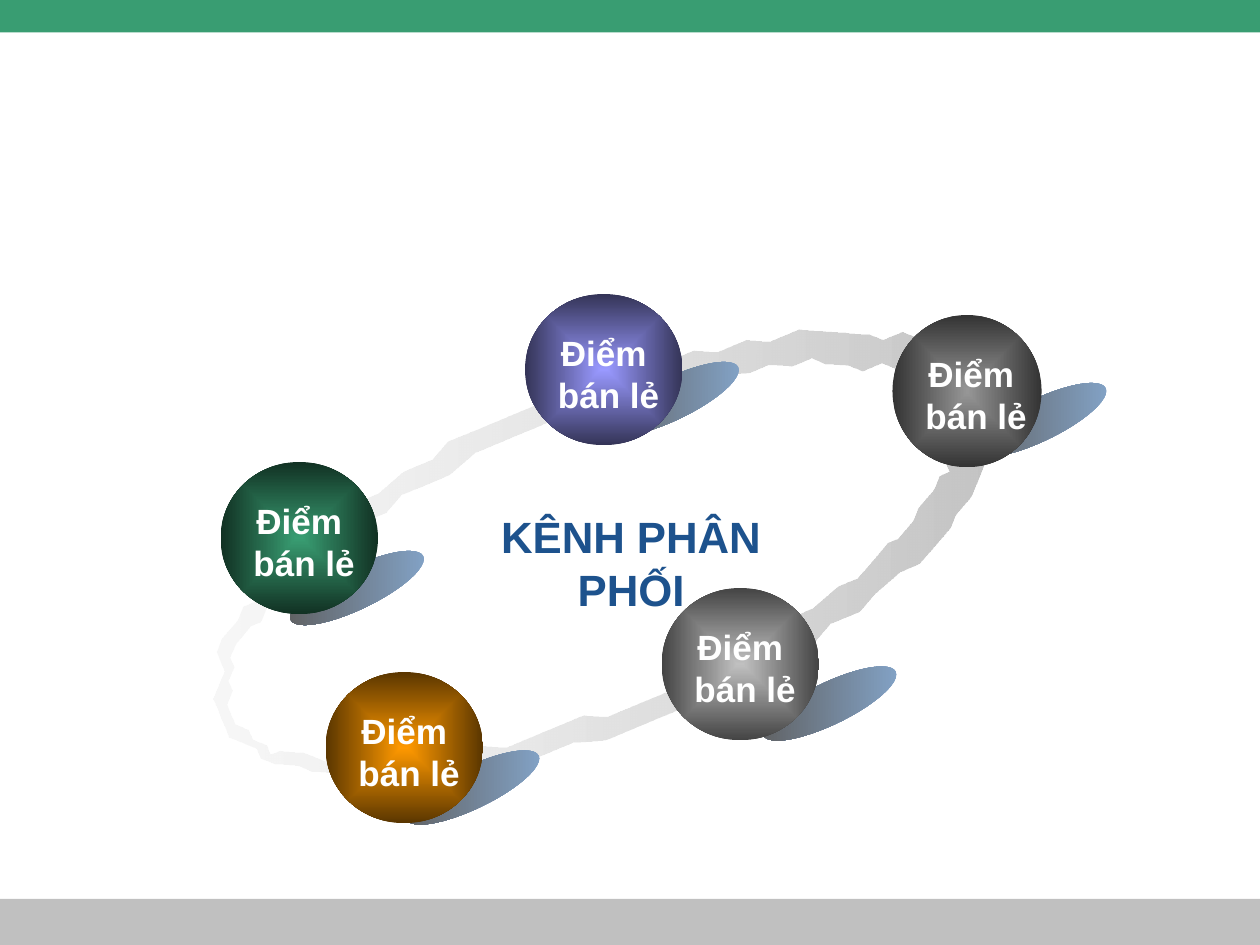
from dataclasses import dataclass
from math import cos, sin, tau

from lxml import etree
from pptx import Presentation
from pptx.dml.color import RGBColor
from pptx.enum.shapes import MSO_SHAPE as Shape
from pptx.enum.text import MSO_AUTO_SIZE as AutoSize, PP_ALIGN as Align
from pptx.oxml.ns import qn
from pptx.util import Inches, Pt


@dataclass(frozen=True)
class Theme:
    font: str = "Arial"
    label_size: int = 20
    title_size: int = 25
    label: str = "FFFFFF"
    title: str = "1D528D"
    header: str = "399D72"
    footer: str = "C0C0C0"
    ring: tuple = ("C0C0C0", "EBEBEB")
    shadow: tuple = ("84A5CA", "5F5F5F")


THEME = Theme()
COLS, ROWS = 120, 90  # grid of twelve cells to the inch
LABEL = "Điểm\n bán lẻ"

# Ball box, shadow corner, and centre and edge colours of each retail point
POINTS = [
    ((50, 28, 15, 14.4), (57, 36), ("9999FF", "343457")),
    ((21, 44, 15, 14.5), (27, 54), ("399D72", "113123")),
    ((31, 64, 15, 14.4), (38, 73), ("FF9900", "5A3600")),
    ((63, 56, 15, 14.5), (72, 65), ("C0C0C0", "444444")),
    ((85, 30, 14.2, 14.5), (92, 38), ("969696", "333333")),
]


def grid(*cells):
    return [Inches(c / 12) for c in cells]


def finish(sp):
    sp.shadow.inherit = False
    sp.line.fill.background()
    return sp


def add_solid(slide, box, color):
    sp = finish(slide.shapes.add_shape(Shape.RECTANGLE, *grid(*box)))
    sp.fill.solid()
    sp.fill.fore_color.rgb = RGBColor.from_string(color)


def set_gradient(sp, colors, clockwise=0):
    sp.fill.gradient()
    sp.fill.gradient_angle = 360 - clockwise
    for stop, color, position in zip(sp.fill.gradient_stops, colors, (0, 1)):
        stop.color.rgb = RGBColor.from_string(color)
        stop.position = position


def make_radial(sp):
    """Turn the linear gradient into one spreading from the centre."""
    lin = next(sp._element.iter(qn("a:lin")))
    radial = etree.Element(qn("a:path"), {"path": "rect"})
    etree.SubElement(radial, qn("a:fillToRect"), dict.fromkeys("ltrb", "50000"))
    lin.getparent().replace(lin, radial)


def add_text(slide, box, text, size, color, wrap):
    tb = slide.shapes.add_textbox(*grid(*box))
    tf = tb.text_frame
    tf.word_wrap = wrap
    tf.auto_size = AutoSize.SHAPE_TO_FIT_TEXT
    tf.text = text
    for p in tf.paragraphs:
        p.alignment = Align.CENTER
        for r in p.runs:
            r.font.name = THEME.font
            r.font.size = Pt(size)
            r.font.bold = True
            r.font.color.rgb = RGBColor.from_string(color)


def ellipse_points(cx, cy, rx, ry, direction=1, count=90):
    angles = [direction * tau * i / count for i in range(count)]
    return [(cx + rx * cos(a), cy + ry * sin(a)) for a in angles]


def add_ring(slide, box):
    x, y, w, h = box
    cx, cy = x + w / 2, y + h / 2
    outer = ellipse_points(cx, cy, w / 2, h / 2)
    # The hole sits left of centre, so the band thickens to the right
    hole = ellipse_points(cx - 0.024 * w, cy, 0.461 * w, 0.432 * h, -1)
    fb = slide.shapes.build_freeform(*outer[0], scale=Inches(1) / 12)
    fb.add_line_segments(outer[1:], close=True)
    fb.move_to(*hole[0])
    fb.add_line_segments(hole[1:], close=True)
    sp = finish(fb.convert_to_shape())
    sp.rotation = 337.4
    set_gradient(sp, THEME.ring, 203)
    pale = list(sp._element.iter(qn("a:srgbClr")))[1]
    etree.SubElement(pale, qn("a:alpha"), val="36000")


def add_shadow(slide, box):
    sp = finish(slide.shapes.add_shape(Shape.OVAL, *grid(*box)))
    sp.rotation = 334.3
    set_gradient(sp, THEME.shadow, 206)


def add_ball(slide, box, colors):
    sp = finish(slide.shapes.add_shape(Shape.OVAL, *grid(*box)))
    set_gradient(sp, colors)
    make_radial(sp)
    x, y = box[:2]
    add_text(slide, (x + 1, y + 3, 13, 9.3), LABEL,
             THEME.label_size, THEME.label, False)


def add_bands(slide):
    add_solid(slide, (0, ROWS - 4.4, COLS, 4.4), THEME.footer)
    add_solid(slide, (0, 0, COLS, 3.1), THEME.header)


def add_channel(slide, box):
    add_ring(slide, box)
    for _, corner, _ in POINTS:
        add_shadow(slide, (*corner, 14, 4))
    # Title inside the ring
    x, y, _, _ = box
    add_text(slide, (x + 27, y + 11, 30.2, 11.3), "KÊNH PHÂN PHỐI",
             THEME.title_size, THEME.title, True)
    for ball, _, colors in POINTS:
        add_ball(slide, ball, colors)


def main():
    prs = Presentation()
    prs.slide_width, prs.slide_height = grid(COLS, ROWS)
    slide = prs.slides.add_slide(prs.slide_layouts[6])
    add_bands(slide)
    add_channel(slide, (18, 37, 79.9, 31.8))
    prs.save("out.pptx")


if __name__ == "__main__":
    main()
